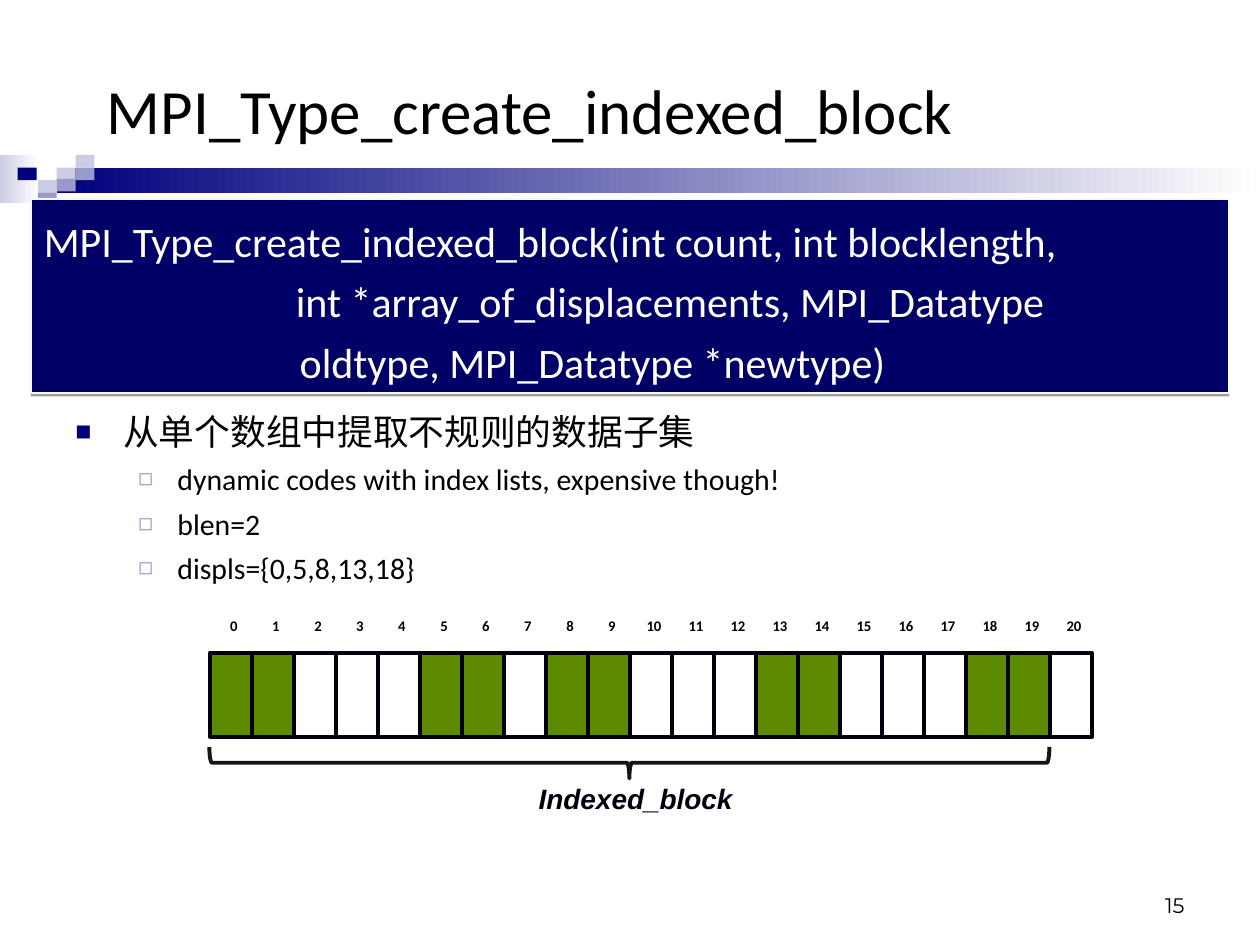
from typing import NamedTuple, Optional

from pptx import Presentation
from pptx.dml.color import RGBColor
from pptx.enum.shapes import MSO_SHAPE
from pptx.enum.text import MSO_ANCHOR, PP_ALIGN
from pptx.oxml import parse_xml
from pptx.oxml.ns import nsdecls, qn
from pptx.util import Inches, Pt

RECT, BRACE = MSO_SHAPE.RECTANGLE, MSO_SHAPE.LEFT_BRACE
TOP, MIDDLE, BOTTOM = MSO_ANCHOR.TOP, MSO_ANCHOR.MIDDLE, MSO_ANCHOR.BOTTOM
LEFT, CENTER, RIGHT = PP_ALIGN.LEFT, PP_ALIGN.CENTER, PP_ALIGN.RIGHT

COLORS = {
    "white": "FFFFFF", "black": "000000", "ink": "00000D", "brace": "151515",
    "navy": "00007D", "panel": "000066", "edge": "F9F9F9",
    "pale": "CCCCE6", "mid": "9999CC", "green": "5C8A00",
}


class Area(NamedTuple):
    left: float
    top: float
    width: float
    height: float


class Style(NamedTuple):
    size: float
    color: str = "black"
    font: str = "Calibri"
    bold: bool = False
    italic: bool = False
    align: int = LEFT
    anchor: int = TOP
    spacing: Optional[float] = None


class Bullet(NamedTuple):
    text: str
    level: int


class Level(NamedTuple):
    size: float
    margin: float
    hang: float
    before: float
    char: str
    color: str
    scale: int


def rgb(name: str) -> RGBColor:
    return RGBColor.from_string(COLORS[name])


def add_shape(slide, area: Area, fill: Optional[str] = None,
              line: Optional[str] = None, weight: float = 2.25, kind=RECT):
    shape = slide.shapes.add_shape(kind, *map(Inches, area))
    shape.shadow.inherit = False
    if fill:
        shape.fill.solid()
        shape.fill.fore_color.rgb = rgb(fill)
    else:
        shape.fill.background()
    if line:
        shape.line.color.rgb = rgb(line)
        shape.line.width = Pt(weight)
    else:
        shape.line.fill.background()
    return shape


def add_fade(slide, area: Area, start: str) -> None:
    fill = add_shape(slide, area).fill
    fill.gradient()
    fill.gradient_angle = 0
    for stop, name in zip(fill.gradient_stops, (start, "white")):
        stop.color.rgb = rgb(name)


def set_font(para, style: Style) -> None:
    for run in para.runs:
        font = run.font
        font.name, font.size = style.font, Pt(style.size)
        font.bold, font.italic = style.bold, style.italic
        font.color.rgb = rgb(style.color)


def write(shape, text: str, style: Style) -> None:
    frame = shape.text_frame
    frame.text = text
    frame.word_wrap = True
    frame.vertical_anchor = style.anchor
    for para in frame.paragraphs:
        para.alignment = style.align
        if style.spacing:
            para.line_spacing = style.spacing
        set_font(para, style)


def add_text(slide, area: Area, text: str, style: Style):
    box = slide.shapes.add_textbox(*map(Inches, area))
    write(box, text, style)
    return box


def indent(para, margin: float, hang: float = 0):
    props = para._p.get_or_add_pPr()
    props.set("marL", str(Inches(margin)))
    props.set("indent", str(Inches(-hang)))
    return props


def add_bullet(para, level: Level) -> None:
    props = indent(para, level.margin, level.hang)
    for xml in (
        f'<a:buClr {nsdecls("a")}><a:srgbClr val="{COLORS[level.color]}"/></a:buClr>',
        f'<a:buSzPct {nsdecls("a")} val="{level.scale * 1000}"/>',
        f'<a:buFont {nsdecls("a")} typeface="Arial"/>',
        f'<a:buChar {nsdecls("a")} char="{level.char}"/>',
    ):
        props.append(parse_xml(xml))


def add_shadow(shape) -> None:
    effects = shape.element.spPr.find(qn("a:effectLst"))
    effects.append(parse_xml(
        f'<a:outerShdw {nsdecls("a")} blurRad="0" dist="{Pt(1.6)}" dir="5400000" '
        f'rotWithShape="0"><a:srgbClr val="{COLORS["black"]}">'
        '<a:alpha val="38000"/></a:srgbClr></a:outerShdw>'))


TILES = [
    (0.45, 1.33, "pale"), (0.6, 1.23, "pale"), (0.6, 1.33, "mid"),
    (0.3, 1.43, "pale"), (0.14, 1.33, "navy"), (0.45, 1.42, "mid"),
    (0.3, 1.53, "mid"),
]
CODE = [
    ("MPI_Type_create_indexed_block(int count, int blocklength,", 0),
    ("int *array_of_displacements, MPI_Datatype", 2),
    ("oldtype, MPI_Datatype *newtype)", 2.03),
]
LEVELS = [
    Level(20.4, 0.38, 0.38, 0, "■", "navy", 75),
    Level(17, 0.81, 0.31, 5, "◻", "mid", 80),
]
BULLETS = [
    Bullet("从单个数组中提取不规则的数据子集", 0),
    Bullet("dynamic codes with index lists, expensive though!", 1),
    Bullet("blen=2", 1),
    Bullet("displs={0,5,8,13,18}", 1),
]
COUNT, BLOCK, STARTS = 21, 2, (0, 5, 8, 13, 18)
CELL, START = 1 / 3, 5 / 3


def main() -> None:
    deck = Presentation()
    deck.slide_width, deck.slide_height = Inches(10), Inches(7.5)
    slide = deck.slides.add_slide(deck.slide_layouts[6])

    # Header band
    add_fade(slide, Area(0, 1.23, 0.31, 0.38), "pale")
    add_fade(slide, Area(0.45, 1.33, 9.55, 0.2), "navy")
    for left, top, color in TILES:
        add_shape(slide, Area(left, top, 0.15, 0.1), color)

    # Title and bullets
    add_text(slide, Area(0.75, 0.42, 8.42, 0.89), "MPI_Type_create_indexed_block",
             Style(36, anchor=MIDDLE))
    body = add_text(slide, Area(0.5, 3.2, 9, 1.5),
                    "\n".join(item.text for item in BULLETS), Style(17))
    for para, item in zip(body.text_frame.paragraphs, BULLETS):
        level = LEVELS[item.level]
        para.level = item.level
        para.space_before = Pt(level.before)
        add_bullet(para, level)
        set_font(para, Style(level.size))

    # Function signature
    panel = add_shape(slide, Area(0.25, 1.58, 9.5, 1.54), "panel", "edge", 0.75)
    add_shadow(panel)
    write(panel, "\n".join(text for text, _ in CODE),
          Style(24, "white", spacing=1.2))
    for para, (_, margin) in zip(panel.text_frame.paragraphs, CODE):
        indent(para, margin)

    # Array cells with their indexes
    chosen = {first + step for first in STARTS for step in range(BLOCK)}
    label = Style(8.4, bold=True, align=CENTER, anchor=MIDDLE, spacing=0.8)
    for index in range(COUNT):
        left = START + index * CELL
        add_shape(slide, Area(left, 5.18, CELL, 2 * CELL),
                  "green" if index in chosen else None, "ink")
        tag = add_shape(slide, Area(left, 4.85, 0.38, 0.25), line="white")
        write(tag, str(index), label)

    # Brace below the array
    brace = add_shape(slide, Area(4.87, 2.72, 0.25, 20 * CELL), line="brace", kind=BRACE)
    brace.rotation = 270
    add_text(slide, Area(4.17, 6.15, 1.75, 0.37), "Indexed_block",
             Style(16, "ink", "Arial", True, True, CENTER))

    # Page number
    add_text(slide, Area(7.17, 6.83, 2.33, 0.5), "15",
             Style(12, font="Montserrat", align=RIGHT, anchor=BOTTOM))

    deck.save("out.pptx")


if __name__ == "__main__":
    main()
